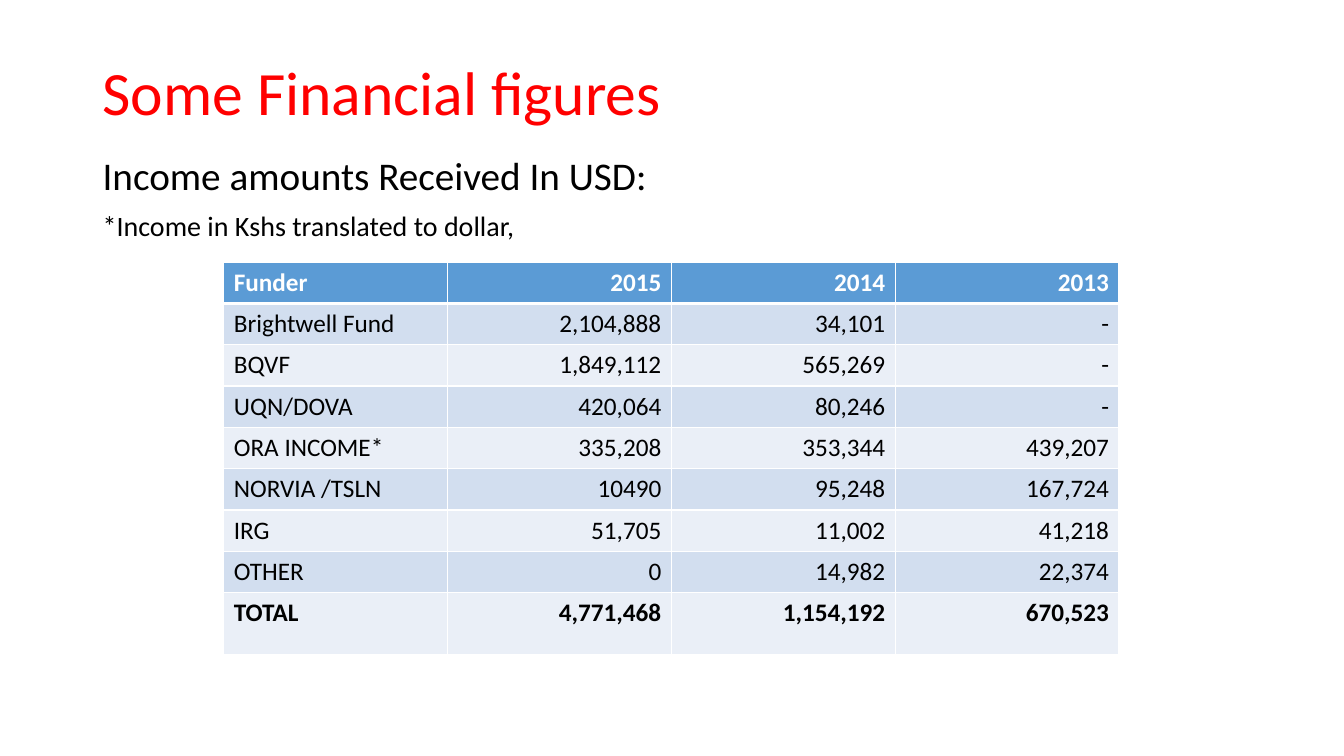
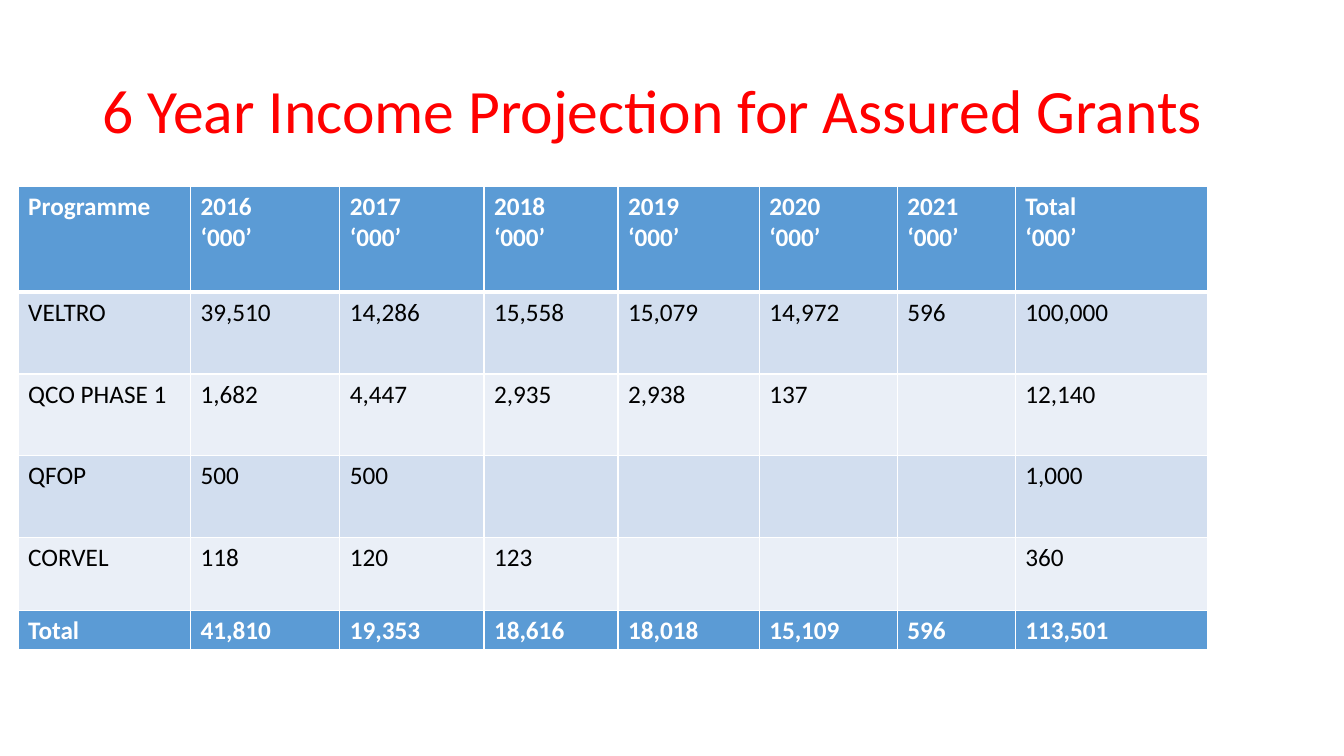
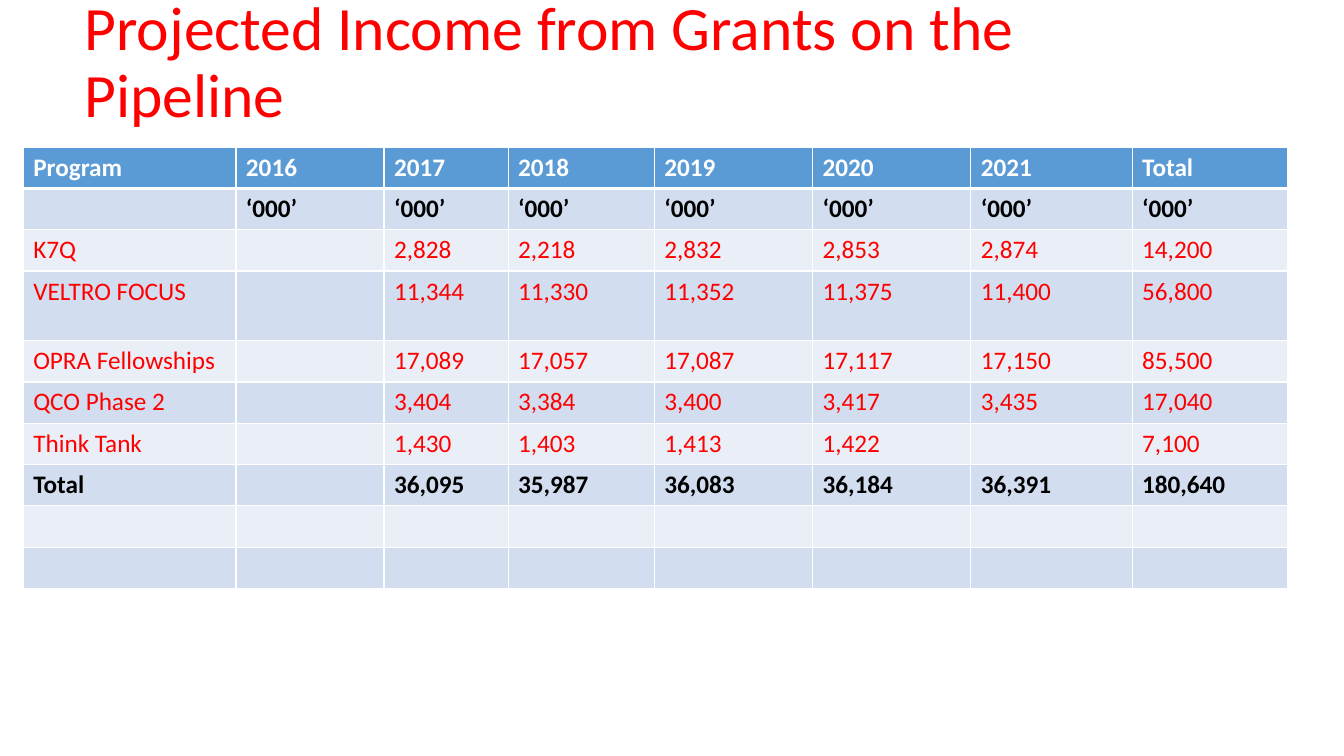
from lxml import etree
from pptx import Presentation
from pptx.dml.color import RGBColor
from pptx.enum.text import MSO_ANCHOR, PP_ALIGN
from pptx.oxml.ns import qn
from pptx.util import Inches, Pt

LEFT, RIGHT = PP_ALIGN.LEFT, PP_ALIGN.RIGHT
TOP, MIDDLE = MSO_ANCHOR.TOP, MSO_ANCHOR.MIDDLE

FONT = "Calibri"
RED, BLACK, WHITE = "FF0000", "000000", "FFFFFF"
HEADER_FILL, BANDS = "5B9BD5", ("EAEFF7", "D2DEEF")
THIN, THICK = 1, 3
ROW = 0.41

UNIT = "‘000’"
YEARS = ["2016", "2017", "2018", "2019", "2020", "2021"]

INCOME = [
    ["Funder", "2015", "2014", "2013"],
    ["Brightwell Fund", "2,104,888", "34,101", "-"],
    ["BQVF", "1,849,112", "565,269", "-"],
    ["UQN/DOVA", "420,064", "80,246", "-"],
    ["ORA INCOME*", "335,208", "353,344", "439,207"],
    ["NORVIA /TSLN", "10490", "95,248", "167,724"],
    ["IRG", "51,705", "11,002", "41,218"],
    ["OTHER", "0", "14,982", "22,374"],
    ["TOTAL", "4,771,468", "1,154,192", "670,523"],
]

ASSURED = [
    ["Programme"] + [f"{heading}\n{UNIT}" for heading in YEARS + ["Total"]],
    ["VELTRO", "39,510", "14,286", "15,558", "15,079", "14,972", "596", "100,000"],
    ["QCO PHASE 1", "1,682", "4,447", "2,935", "2,938", "137", "", "12,140"],
    ["QFOP", "500", "500", "", "", "", "", "1,000"],
    ["CORVEL", "118", "120", "123", "", "", "", "360"],
]
ASSURED_TOTAL = [
    ["Total", "41,810", "19,353", "18,616", "18,018", "15,109", "596", "113,501"],
]
ASSURED_COLUMNS = [1.71, 1.48, 1.43, 1.33, 1.4, 1.37, 1.17, 1.91]

PIPELINE = [
    ["Program"] + YEARS + ["Total"],
    [""] + [UNIT] * 7,
    ["K7Q", "", "2,828", "2,218", "2,832", "2,853", "2,874", "14,200"],
    ["VELTRO FOCUS", "", "11,344", "11,330", "11,352", "11,375", "11,400", "56,800"],
    ["OPRA Fellowships", "", "17,089", "17,057", "17,087", "17,117", "17,150", "85,500"],
    ["QCO Phase 2", "", "3,404", "3,384", "3,400", "3,417", "3,435", "17,040"],
    ["Think Tank", "", "1,430", "1,403", "1,413", "1,422", "", "7,100"],
    ["Total", "", "36,095", "35,987", "36,083", "36,184", "36,391", "180,640"],
    [""] * 8,
    [""] * 8,
]
PIPELINE_COLUMNS = [2.11, 1.47, 1.23, 1.45, 1.57, 1.57, 1.6, 1.54]

SLIDES = [
    dict(
        title="Some Financial figures",
        title_at=(0.92, 0.4, 11.5, 1.1),
        intro=[("Income amounts Received In USD:", 28),
               ("*Income in Kshs translated to dollar,", 20)],
        tables=[dict(rows=INCOME, at=(2.22, 2.6), columns=[2.22] * 4,
                     heights=[ROW] * 8 + [0.62], bold_rows=[8], number_align=RIGHT)],
    ),
    dict(
        title="6 Year Income Projection for Assured Grants",
        title_at=(0.92, 0.4, 11.5, 1.45),
        tables=[
            dict(rows=ASSURED, at=(0.18, 1.85), columns=ASSURED_COLUMNS,
                 heights=[1.05] + [0.81] * 4),
            dict(rows=ASSURED_TOTAL, at=(0.18, 6.06), columns=ASSURED_COLUMNS,
                 heights=[0.35]),
        ],
    ),
    dict(
        title="Projected Income from Grants on the Pipeline",
        title_at=(0.74, 0, 11.5, 1.27),
        tables=[dict(rows=PIPELINE, at=(0.23, 1.46), columns=PIPELINE_COLUMNS,
                     heights=[ROW] * 3 + [0.69] + [ROW] * 6,
                     bold_rows=[1, 7], body_color=RED)],
    ),
]


def rgb(value):
    return RGBColor.from_string(value)


def write(frame, lines, size=18, color=BLACK, bold=False, align=LEFT,
          line_spacing=None, space_before=None):
    """Fill a text frame; a line is a string or a (string, size) pair."""
    for index, line in enumerate(lines):
        text, points = line if isinstance(line, tuple) else (line, size)
        paragraph = frame.paragraphs[0] if index == 0 else frame.add_paragraph()
        paragraph.alignment = align
        paragraph.line_spacing = line_spacing
        if space_before is not None:
            paragraph.space_before = Pt(space_before)
        if text:
            run = paragraph.add_run()
            run.text = text
            font = run.font
            font.name, font.size, font.bold = FONT, Pt(points), bold
            font.color.rgb = rgb(color)


def add_text(slide, at, lines, anchor=TOP, **text_format):
    frame = slide.shapes.add_textbox(*map(Inches, at)).text_frame
    frame.word_wrap = True
    frame.vertical_anchor = anchor
    write(frame, lines, line_spacing=0.9, **text_format)


def set_borders(cell, top, bottom):
    """Draw white cell borders; the line elements precede the fill."""
    properties = cell._tc.get_or_add_tcPr()
    widths = {"a:lnL": THIN, "a:lnR": THIN, "a:lnT": top, "a:lnB": bottom}
    for position, (side, width) in enumerate(widths.items()):
        line = etree.Element(qn(side), w=str(Pt(width)))
        fill = etree.SubElement(line, qn("a:solidFill"))
        etree.SubElement(fill, qn("a:srgbClr"), val=WHITE)
        properties.insert(position, line)


def add_grid(slide, rows, at, columns, heights, bold_rows=(),
             body_color=BLACK, number_align=LEFT):
    size = (sum(columns), sum(heights))
    table = slide.shapes.add_table(
        len(rows), len(columns), *map(Inches, at + size)).table
    table.horz_banding = False
    for column, width in zip(table.columns, columns):
        column.width = Inches(width)
    for r, (values, height) in enumerate(zip(rows, heights)):
        table.rows[r].height = Inches(height)
        header, strong = r == 0, r in bold_rows
        color = WHITE if header else BLACK if strong else body_color
        for c, value in enumerate(values):
            cell = table.cell(r, c)
            cell.fill.solid()
            cell.fill.fore_color.rgb = rgb(HEADER_FILL if header else BANDS[r % 2])
            set_borders(cell, top=THICK if r == 1 else THIN,
                        bottom=THICK if header else THIN)
            write(cell.text_frame, value.split("\n"), color=color,
                  bold=header or strong, align=number_align if c else LEFT)


def main():
    deck = Presentation()
    deck.slide_width, deck.slide_height = Inches(13.33), Inches(7.5)
    blank = deck.slide_layouts[6]
    for content in SLIDES:
        slide = deck.slides.add_slide(blank)
        add_text(slide, content["title_at"], [content["title"]],
                 anchor=MIDDLE, size=44, color=RED)
        if "intro" in content:
            add_text(slide, (0.92, 1.5, 11.5, 1.1), content["intro"], space_before=10)
        for grid in content["tables"]:
            add_grid(slide, **grid)
    deck.save("out.pptx")


if __name__ == "__main__":
    main()
